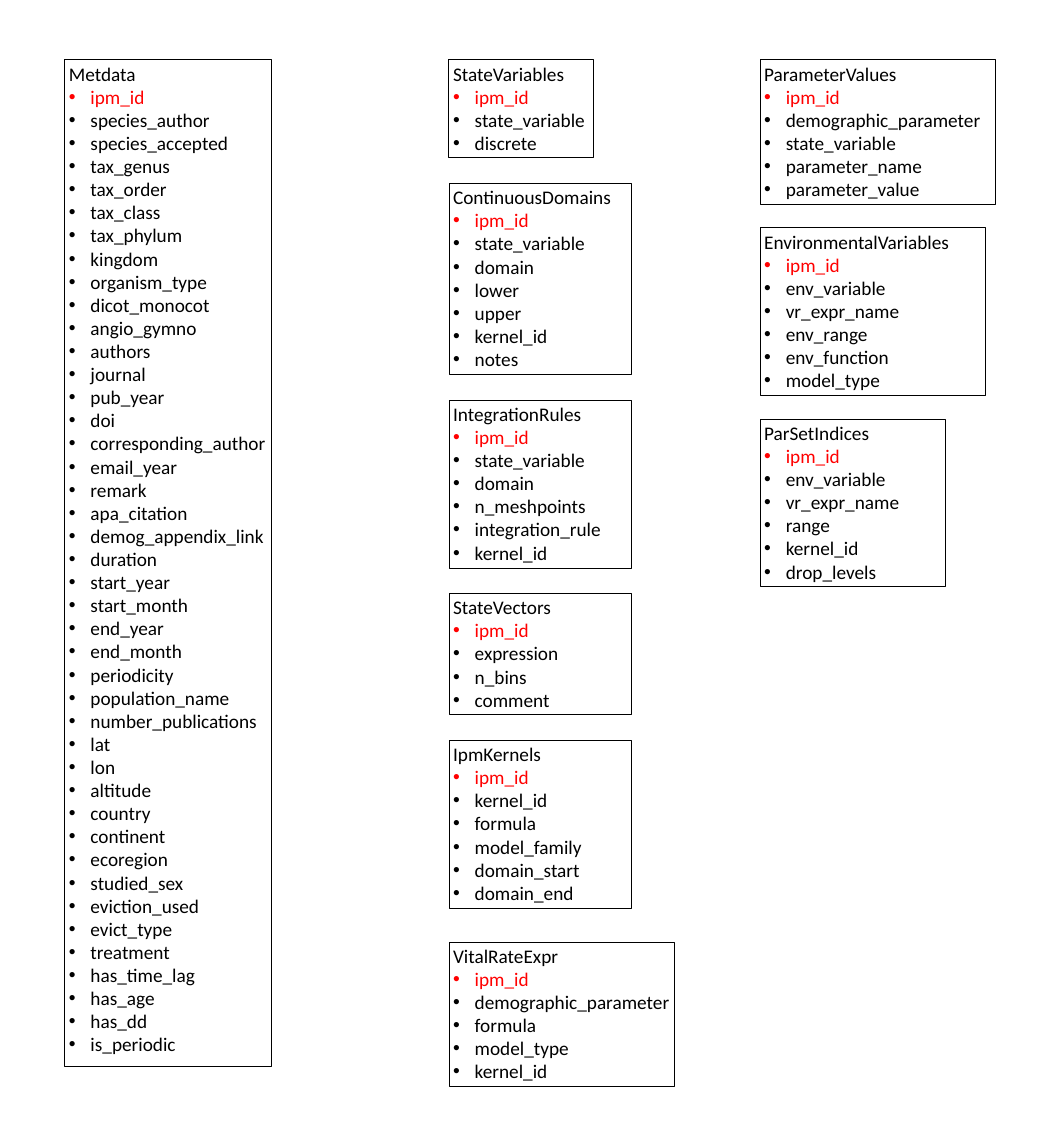
from lxml import etree
from pptx import Presentation
from pptx.dml.color import RGBColor
from pptx.enum.shapes import MSO_SHAPE
from pptx.enum.text import MSO_ANCHOR, MSO_AUTO_SIZE, PP_ALIGN
from pptx.oxml.ns import qn
from pptx.util import Inches, Pt

RECTANGLE = MSO_SHAPE.RECTANGLE
TOP = MSO_ANCHOR.TOP
LEFT = PP_ALIGN.LEFT
GROW = MSO_AUTO_SIZE.SHAPE_TO_FIT_TEXT

SLIDE_WIDTH, SLIDE_HEIGHT = 24.33, 26.5
FIRST_TOP = 1.38
FONT, FONT_SIZE = "Calibri", 32
LINE_HEIGHT = FONT_SIZE / 72 * 1.21
PADDING = 0.11
INDENT = 0.5
BLACK, RED, WHITE = "000000", "FF0000", "FFFFFF"
KEY = "ipm_id"

METADATA_FIELDS = """
    species_author species_accepted tax_genus tax_order tax_class tax_phylum
    kingdom organism_type dicot_monocot angio_gymno authors journal pub_year
    doi corresponding_author email_year remark apa_citation
    demog_appendix_link duration start_year start_month end_year end_month
    periodicity population_name number_publications lat lon altitude country
    continent ecoregion studied_sex eviction_used evict_type treatment
    has_time_lag has_age has_dd is_periodic
"""

# Each column: left, then entities as (name, width, gap above, fields).
COLUMNS = [
    (1.49, [("Metdata", 4.78, 0, METADATA_FIELDS)]),
    (10.36, [
        ("StateVariables", 3.33, 0, "state_variable discrete"),
        ("ContinuousDomains", 4.21, 0.59,
         "state_variable domain lower upper kernel_id notes"),
        ("IntegrationRules", 4.21, 0.59,
         "state_variable domain n_meshpoints integration_rule kernel_id"),
        ("StateVectors", 4.21, 0.59, "expression n_bins comment"),
        ("IpmKernels", 4.21, 0.59,
         "kernel_id formula model_family domain_start domain_end"),
        ("VitalRateExpr", 5.21, 0.78,
         "demographic_parameter formula model_type kernel_id"),
    ]),
    (17.54, [
        ("ParameterValues", 5.43, 0,
         "demographic_parameter state_variable parameter_name parameter_value"),
        ("EnvironmentalVariables", 5.21, 0.54,
         "env_variable vr_expr_name env_range env_function model_type"),
        ("ParSetIndices", 4.28, 0.54,
         "env_variable vr_expr_name range kernel_id drop_levels"),
    ]),
]


def color(value):
    return RGBColor.from_string(value)


def write(para, text, fill=BLACK, bullet=False):
    para.alignment = LEFT
    span = para.add_run()
    span.text = text
    span.font.name = FONT
    span.font.size = Pt(FONT_SIZE)
    span.font.color.rgb = color(fill)
    if bullet:
        properties = para._p.get_or_add_pPr()
        properties.set("marL", str(Inches(INDENT)))
        properties.set("indent", str(Inches(-INDENT)))
        etree.SubElement(properties, qn("a:buFont"), typeface="Arial")
        etree.SubElement(properties, qn("a:buChar"), char="•")


def add_entity(page, left, top, width, name, fields):
    height = PADDING + LINE_HEIGHT * (len(fields) + 2)
    box = page.shapes.add_shape(
        RECTANGLE, Inches(left), Inches(top), Inches(width), Inches(height))
    box.shadow.inherit = False
    box.fill.solid()
    box.fill.fore_color.rgb = color(WHITE)
    box.line.color.rgb = color(BLACK)
    box.line.width = Pt(1)
    frame = box.text_frame
    frame.word_wrap = True
    frame.auto_size = GROW
    frame.vertical_anchor = TOP
    write(frame.paragraphs[0], name)
    write(frame.add_paragraph(), KEY, fill=RED, bullet=True)
    for field in fields:
        write(frame.add_paragraph(), field, bullet=True)
    return top + height


def main():
    deck = Presentation()
    deck.slide_width = Inches(SLIDE_WIDTH)
    deck.slide_height = Inches(SLIDE_HEIGHT)
    page = deck.slides.add_slide(deck.slide_layouts[6])
    for left, entities in COLUMNS:
        bottom = FIRST_TOP
        for name, width, gap, fields in entities:
            bottom = add_entity(
                page, left, bottom + gap, width, name, fields.split())
    deck.save("out.pptx")


main()
